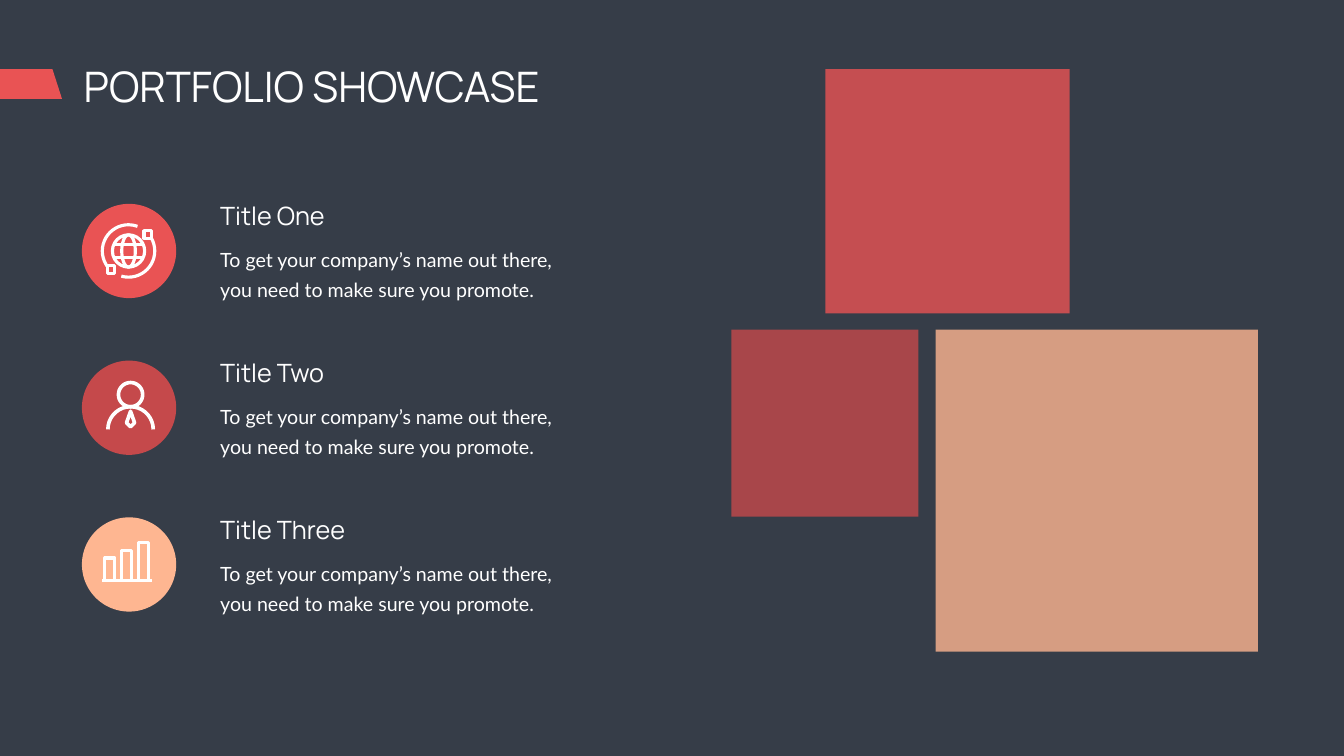
from math import cos, radians, sin

from lxml.etree import SubElement
from pptx import Presentation
from pptx.dml.color import RGBColor
from pptx.enum.shapes import MSO_CONNECTOR, MSO_SHAPE
from pptx.enum.text import MSO_ANCHOR, MSO_AUTO_SIZE, PP_ALIGN
from pptx.oxml.ns import qn
from pptx.util import Inches, Pt

COLORS = {"bg": "363D48", "white": "FFFFFF", "red": "E95354",
          "dark_red": "C5494B", "peach": "FEB691"}
COLS, ROWS = 26.66, 15

prs = Presentation()
prs.slide_width, prs.slide_height = Inches(COLS), Inches(ROWS)
col, row = prs.slide_width / COLS, prs.slide_height / ROWS
s = prs.slides.add_slide(prs.slide_layouts[5])
s.background.fill.solid()
s.background.fill.fore_color.rgb = RGBColor.from_string(COLORS["bg"])


def paint(sp, fill=None, line=0):
    """Fill a shape, or outline it in white with the given width in points."""
    sp.shadow.inherit = False
    if fill:
        sp.fill.solid()
        sp.fill.fore_color.rgb = RGBColor.from_string(COLORS[fill])
    else:
        sp.fill.background()
    if line:
        sp.line.color.rgb = RGBColor.from_string(COLORS["white"])
        sp.line.width = Pt(line)
    else:
        sp.line.fill.background()
    return sp


def write(sp, box, text, font, size, spacing=1.0):
    """Place a text shape on the grid and set its one paragraph."""
    x, y, w, h = box
    sp.left, sp.top = int(x * col), int(y * row)
    sp.width, sp.height = int(w * col), int(h * row)
    tf = sp.text_frame
    tf.text = text
    tf.word_wrap = True
    tf.auto_size = MSO_AUTO_SIZE.SHAPE_TO_FIT_TEXT
    tf.vertical_anchor = MSO_ANCHOR.TOP
    p = tf.paragraphs[0]
    p.alignment = PP_ALIGN.LEFT
    p.line_spacing = spacing
    r = p.runs[0]
    r.font.name, r.font.size = font, Pt(size)
    r.font.color.rgb = RGBColor.from_string(COLORS["white"])


# Heading
write(s.shapes.title, (1.56, 1.16, 10.37, 1.11), "PORTFOLIO SHOWCASE", "Manrope", 60)

# Translucent showcase squares: left, top, side
for x, y, side, color in [(18.56, 6.54, 6.39, "peach"),
                          (14.51, 6.54, 3.71, "dark_red"),
                          (16.37, 1.37, 4.85, "red")]:
    sp = paint(s.shapes.add_shape(MSO_SHAPE.RECTANGLE, int(x * col), int(y * row),
                                  int(side * col), int(side * row)), color)
    rgb = sp.fill._xPr.find(qn("a:solidFill"))[0]
    SubElement(rgb, qn("a:alpha")).set("val", "80000")

# Feature rows: disc, title and description around each row's centre
CX, FIRST, PITCH, DISC = 2.56, 4.98, 3.11, 1.87
BODY = "To get your company’s name out there, you need to make sure you promote."
features = [("Title One", "red"), ("Title Two", "dark_red"), ("Title Three", "peach")]
centres = [FIRST + i * PITCH for i in range(len(features))]
for (title, color), cy in zip(features, centres):
    paint(s.shapes.add_shape(MSO_SHAPE.OVAL, int((CX - DISC / 2) * col),
                             int((cy - DISC / 2) * row),
                             int(DISC * col), int(DISC * row)), color)
    write(s.shapes.add_textbox(0, 0, 0, 0), (4.27, cy - 1.05, 5.2, 0.71),
          title, "Manrope", 36)
    write(s.shapes.add_textbox(0, 0, 0, 0), (4.27, cy - 0.24, 7.45, 1.25),
          BODY, "Lato", 28, Pt(43))

# Globe with its orbit: shape, centre offset, size, arc angles
ICON_X, THIN, THICK = 2.55, 4.5, 5.2
for kind, dx, dy, w, h, angles in [
        (MSO_SHAPE.OVAL, 0, 0, 0.64, 0.64, ()),
        (MSO_SHAPE.OVAL, 0, 0, 0.27, 0.64, ()),
        (MSO_SHAPE.ARC, 0, 0, 1.04, 1.04, (-29, 106)),
        (MSO_SHAPE.ARC, 0, 0, 1.04, 1.04, (145, 290)),
        (MSO_SHAPE.RECTANGLE, 0.38, -0.33, 0.15, 0.15, ()),
        (MSO_SHAPE.RECTANGLE, -0.35, 0.37, 0.15, 0.15, ())]:
    sp = s.shapes.add_shape(kind, int((ICON_X + dx - w / 2) * col),
                            int((FIRST + dy - h / 2) * row), int(w * col), int(h * row))
    for i, angle in enumerate(angles):
        sp.adjustments[i] = angle % 360 * 0.6
    paint(sp, line=THIN)
for dy in (-0.13, 0.13):
    y = int((FIRST + dy) * row)
    cn = s.shapes.add_connector(MSO_CONNECTOR.STRAIGHT, int((ICON_X - 0.29) * col), y,
                                int((ICON_X + 0.29) * col), y)
    cn.line.color.rgb = RGBColor.from_string(COLORS["white"])
    cn.line.width = Pt(THIN)
    SubElement(cn._element.spPr, qn("a:effectLst"))

# Person: head, shoulders and necktie
px, py = ICON_X + 0.04, centres[1]
head = [(px + 0.24 * cos(radians(a)), py - 0.26 + 0.24 * sin(radians(a)))
        for a in range(0, 360, 10)]
shoulders = [(px + 0.45 * cos(radians(a)), py + 0.43 + 0.45 * sin(radians(a)))
             for a in range(180, 361, 10)]
necktie = [(px + dx, py + dy) for dx, dy in [(0, 0.07), (-0.08, 0.3), (0, 0.38), (0.08, 0.3)]]
person = [(head, True), (shoulders, False), (necktie, True)]

# Rising bars on a common base
base, width = centres[2] + 0.32, 0.2
bars = [([(2.03, base), (3.01, base)], False)]
for i in range(3):
    left, top = 2.08 + 0.335 * i, base - 0.45 - 0.15 * i
    bars.append(([(left, base), (left, top), (left + width, top), (left + width, base)], True))

# Flag beside the heading
flag = [([(0, 1.37), (1.04, 1.37), (1.23, 1.96), (0, 1.96)], True)]

# Freeforms, in thousandths of a grid cell
FINE = 1000
for contours, fill, line in [(flag, "red", 0), (person, None, THICK), (bars, None, THIN)]:
    fb = s.shapes.build_freeform(*[v * FINE for v in contours[0][0][0]],
                                 scale=(col / FINE, row / FINE))
    for i, (points, closed) in enumerate(contours):
        points = [(x * FINE, y * FINE) for x, y in points]
        if i:
            fb.move_to(*points[0])
        fb.add_line_segments(points[1:], close=closed)
    paint(fb.convert_to_shape(), fill, line)

prs.save("out.pptx")
